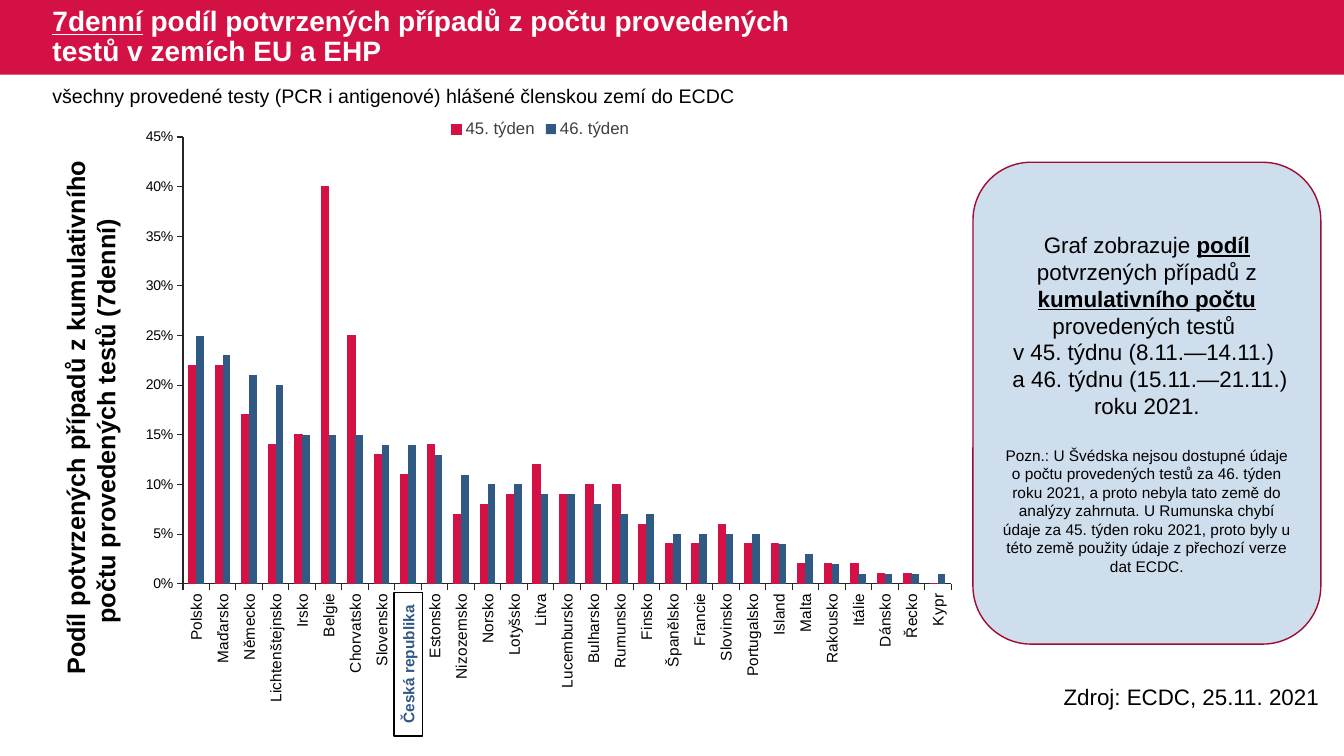
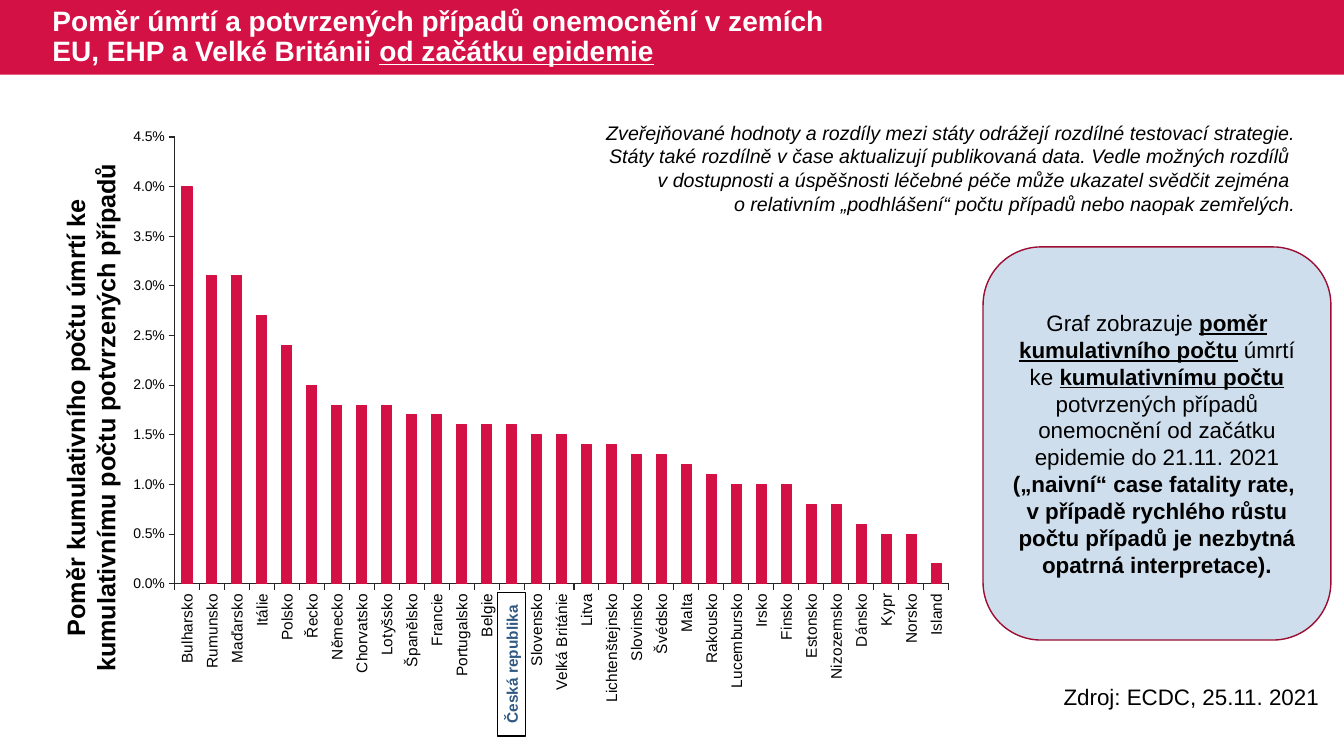
import pptx
import pptx.chart.data
import pptx.dml.color
import pptx.enum.chart
import pptx.enum.shapes
import pptx.enum.text
import pptx.oxml
import pptx.oxml.ns
import pptx.util

Inches = pptx.util.Inches
Pt = pptx.util.Pt
RGBColor = pptx.dml.color.RGBColor
Align = pptx.enum.text.PP_ALIGN
Anchor = pptx.enum.text.MSO_ANCHOR
AutoSize = pptx.enum.text.MSO_AUTO_SIZE
Shape = pptx.enum.shapes.MSO_SHAPE

CRIMSON = RGBColor(0xD3, 0x11, 0x45)
DARK_CRIMSON = RGBColor(0x9C, 0x0D, 0x33)
BLUE = RGBColor(0x30, 0x59, 0x83)
PALE_BLUE = RGBColor(0xCF, 0xDE, 0xED)
BLACK = RGBColor(0, 0, 0)
WHITE = RGBColor(0xFF, 0xFF, 0xFF)
AXIS_GREY = RGBColor(0x26, 0x26, 0x26)
LEGEND_GREY = RGBColor(0x40, 0x40, 0x40)

FONT = "Arial"
SLIDE_WIDTH, SLIDE_HEIGHT = 13.33, 7.5
BAND_HEIGHT = 0.74
CHART_LEFT, CHART_TOP, CHART_WIDTH, CHART_HEIGHT = 1.16, 1.08, 8.4, 5.95
HIGHLIGHT = "Česká republika"
SOURCE = "Zdroj: ECDC, 25.11. 2021"


class Deck:
    def __init__(self):
        self.presentation = pptx.Presentation()
        self.presentation.slide_width = Inches(SLIDE_WIDTH)
        self.presentation.slide_height = Inches(SLIDE_HEIGHT)
        self.layout = self.presentation.slide_layouts[5]
        self.slide = None

    def style_font(self, font, size, color, style=""):
        font.name = FONT
        font.size = Pt(size)
        font.color.rgb = color
        font.bold = "b" in style
        font.italic = "i" in style
        font.underline = "u" in style

    def add_runs(self, paragraph, runs, size, color=BLACK, align=Align.LEFT):
        paragraph.alignment = align
        for text, style in runs:
            for number, line in enumerate(text.split("\n")):
                if number:
                    paragraph.add_line_break()
                if line:
                    run = paragraph.add_run()
                    run.text = line
                    self.style_font(run.font, size, color, style)

    def box(self, kind, left, top, width, height, fill, line=None):
        shape = self.slide.shapes.add_shape(
            kind, Inches(left), Inches(top), Inches(width), Inches(height))
        shape.shadow.inherit = False
        shape.fill.solid()
        shape.fill.fore_color.rgb = fill
        if line is None:
            shape.line.fill.background()
        else:
            shape.line.color.rgb = line
            shape.line.width = Pt(1)
        shape.text_frame.word_wrap = True
        shape.text_frame.vertical_anchor = Anchor.MIDDLE
        return shape

    def add_slide(self, title_runs):
        first = self.slide is None
        self.slide = self.presentation.slides.add_slide(self.layout)
        if first:
            band = self.box(Shape.RECTANGLE, 0, 0, SLIDE_WIDTH, BAND_HEIGHT, CRIMSON)
            self.layout.element.cSld.spTree.insert(2, band.element)
        title = self.slide.shapes.title
        title.left, title.top = Inches(0.42), Inches(0)
        title.width, title.height = Inches(8.16), Inches(BAND_HEIGHT)
        frame = title.text_frame
        frame.auto_size = AutoSize.NONE
        frame.word_wrap = True
        frame.vertical_anchor = Anchor.MIDDLE
        frame.paragraphs[0].line_spacing = 0.9
        self.add_runs(frame.paragraphs[0], title_runs, 20, WHITE)

    def text(self, left, top, width, height, paragraphs, size,
             style="", align=Align.LEFT, rotation=0):
        box = self.slide.shapes.add_textbox(
            Inches(left), Inches(top), Inches(width), Inches(height))
        box.rotation = rotation
        frame = box.text_frame
        frame.word_wrap = True
        frame.auto_size = AutoSize.SHAPE_TO_FIT_TEXT
        for number, content in enumerate(paragraphs):
            paragraph = frame.add_paragraph() if number else frame.paragraphs[0]
            self.add_runs(paragraph, [(content, style)], size, align=align)

    def source(self):
        self.text(10.45, 6.73, 2.85, 0.37, [SOURCE], 16)

    def axis_caption(self, caption):
        self.text(-1.81, 3.79, 5.42, 0.71, [caption], 18, "b", Align.CENTER, 270)

    def callout(self, left, top, height, paragraphs, note=None):
        panel = self.box(Shape.ROUNDED_RECTANGLE, left, top, 3.45, height,
                         PALE_BLUE, DARK_CRIMSON)
        frame = panel.text_frame
        for number, runs in enumerate(paragraphs):
            paragraph = frame.add_paragraph() if number else frame.paragraphs[0]
            self.add_runs(paragraph, runs, 16, align=Align.CENTER)
        if note:
            paragraph = frame.add_paragraph()
            paragraph.space_before = Pt(19)
            self.add_runs(paragraph, [(note, "")], 11, align=Align.CENTER)

    def format_axis(self, axis, size):
        axis.has_major_gridlines = False
        axis.major_tick_mark = pptx.enum.chart.XL_TICK_MARK.OUTSIDE
        axis.minor_tick_mark = pptx.enum.chart.XL_TICK_MARK.NONE
        axis.format.line.color.rgb = AXIS_GREY
        axis.format.line.width = Pt(0.75)
        self.style_font(axis.tick_labels.font, size, BLACK)

    def column_chart(self, countries, series, number_format, maximum, step,
                     plot_x, plot_width, legend=False):
        data = pptx.chart.data.CategoryChartData(number_format=number_format)
        data.categories = countries
        for name, values in series:
            data.add_series(name, values)
        chart = self.slide.shapes.add_chart(
            pptx.enum.chart.XL_CHART_TYPE.COLUMN_CLUSTERED,
            Inches(CHART_LEFT), Inches(CHART_TOP),
            Inches(CHART_WIDTH), Inches(CHART_HEIGHT), data).chart
        chart.has_title = False
        self.style_font(chart.font, 10, LEGEND_GREY)
        chart.has_legend = legend
        if legend:
            chart.legend.position = pptx.enum.chart.XL_LEGEND_POSITION.TOP
            chart.legend.include_in_layout = False
            self.style_font(chart.legend.font, 12, LEGEND_GREY)

        plot = chart.plots[0]
        plot.gap_width = 150
        plot.overlap = 0
        plot.vary_by_categories = False
        for columns, color in zip(plot.series, (CRIMSON, BLUE)):
            columns.format.fill.solid()
            columns.format.fill.fore_color.rgb = color
        plot.series[0].format.line.color.rgb = CRIMSON
        plot.series[0].format.line.width = Pt(0.75)

        self.format_axis(chart.category_axis, 11)
        qn = pptx.oxml.ns.qn
        category_axis = chart.element.chart.plotArea.find(qn("c:catAx"))
        label_body = category_axis.find(qn("c:txPr")).find(qn("a:bodyPr"))
        label_body.set("rot", "-5400000")
        label_body.set("vert", "horz")
        value_axis = chart.value_axis
        self.format_axis(value_axis, 10)
        value_axis.minimum_scale = 0
        value_axis.maximum_scale = maximum
        value_axis.major_unit = step
        value_axis.tick_labels.number_format = number_format
        value_axis.tick_labels.number_format_is_linked = False
        self.fix_plot_area(chart, plot_x, plot_width)

        pitch = plot_width * CHART_WIDTH / len(countries)
        center = (CHART_LEFT + plot_x * CHART_WIDTH
                  + pitch * (countries.index(HIGHLIGHT) + 0.5))
        self.country_label(center)

    def fix_plot_area(self, chart, x, width):
        area = chart.element.chart.plotArea
        for layout in area.findall(pptx.oxml.ns.qn("c:layout")):
            area.remove(layout)
        places = "".join(f'<c:{tag} val="{value}"/>' for tag, value in (
            ("layoutTarget", "inner"), ("xMode", "edge"), ("yMode", "edge"),
            ("x", x), ("y", 0.047), ("w", width), ("h", 0.745)))
        area.insert(0, pptx.oxml.parse_xml(
            f'<c:layout {pptx.oxml.ns.nsdecls("c")}>'
            f"<c:manualLayout>{places}</c:manualLayout></c:layout>"))

    def country_label(self, center):
        width = 1.42
        label = self.box(Shape.RECTANGLE, center - width / 2, 6.45, width, 0.28,
                         WHITE, BLACK)
        label.rotation = 270
        self.add_runs(label.text_frame.paragraphs[0], [(HIGHLIGHT, "b")], 11, BLUE,
                      Align.CENTER)


def positivity_slide(deck):
    deck.add_slide([
        ("7denní", "bu"),
        (" podíl potvrzených případů z počtu provedených testů v zemích EU a EHP", "b")])
    deck.source()
    deck.axis_caption(
        "Podíl potvrzených případů z kumulativního počtu provedených testů (7denní) ")
    countries = [
        "Polsko", "Maďarsko", "Německo", "Lichtenštejnsko", "Irsko", "Belgie",
        "Chorvatsko", "Slovensko", HIGHLIGHT, "Estonsko", "Nizozemsko", "Norsko",
        "Lotyšsko", "Litva", "Lucembursko", "Bulharsko", "Rumunsko", "Finsko",
        "Španělsko", "Francie", "Slovinsko", "Portugalsko", "Island", "Malta",
        "Rakousko", "Itálie", "Dánsko", "Řecko", "Kypr"]
    week_45 = [
        0.22, 0.22, 0.17, 0.14, 0.15, 0.4, 0.25, 0.13, 0.11, 0.14, 0.07, 0.08,
        0.09, 0.12, 0.09, 0.1, 0.1, 0.06, 0.04, 0.04, 0.06, 0.04, 0.04, 0.02,
        0.02, 0.02, 0.01, 0.01, 0]
    week_46 = [
        0.25, 0.23, 0.21, 0.2, 0.15, 0.15, 0.15, 0.14, 0.14, 0.13, 0.11, 0.1,
        0.1, 0.09, 0.09, 0.08, 0.07, 0.07, 0.05, 0.05, 0.05, 0.05, 0.04, 0.03,
        0.02, 0.01, 0.01, 0.01, 0.01]
    deck.column_chart(countries, [("45. týden", week_45), ("46. týden", week_46)],
                      "0%", 0.45, 0.05, 0.078, 0.907, legend=True)
    deck.callout(9.65, 1.61, 4.78, [
        [("Graf zobrazuje ", ""), ("podíl", "bu"), (" potvrzených případů z ", ""),
         ("kumulativního počtu", "bu"), (" provedených testů ", "")],
        [("v 45. týdnu (8.11.—14.11.) ", "")],
        [(" a 46. týdnu (15.11.—21.11.) roku 2021.", "")],
    ], note="Pozn.: U Švédska nejsou dostupné údaje o počtu provedených testů za "
            "46. týden roku 2021, a proto nebyla tato země do analýzy zahrnuta. "
            "U Rumunska chybí údaje za 45. týden roku 2021, proto byly u této země "
            "použity údaje z přechozí verze dat ECDC.")
    deck.text(0.42, 0.78, 12.59, 0.34, [
        "všechny provedené testy (PCR i antigenové) hlášené členskou zemí do ECDC"], 14)


def fatality_slide(deck):
    deck.add_slide([
        ("Poměr úmrtí a potvrzených případů onemocnění v zemích EU, EHP a Velké "
         "Británii ", "b"),
        ("od začátku epidemie", "bu")])
    deck.source()
    deck.axis_caption(
        "Poměr kumulativního počtu úmrtí ke kumulativnímu počtu potvrzených případů")
    countries = [
        "Bulharsko", "Rumunsko", "Maďarsko", "Itálie", "Polsko", "Řecko", "Německo",
        "Chorvatsko", "Lotyšsko", "Španělsko", "Francie", "Portugalsko", "Belgie",
        HIGHLIGHT, "Slovensko", "Velká Británie", "Litva", "Lichtenštejnsko",
        "Slovinsko", "Švédsko", "Malta", "Rakousko", "Lucembursko", "Irsko",
        "Finsko", "Estonsko", "Nizozemsko", "Dánsko", "Kypr", "Norsko", "Island"]
    ratios = [
        0.04, 0.031, 0.031, 0.027, 0.024, 0.02, 0.018, 0.018, 0.018, 0.017, 0.017,
        0.016, 0.016, 0.016, 0.015, 0.015, 0.014, 0.014, 0.013, 0.013, 0.012,
        0.011, 0.01, 0.01, 0.01, 0.008, 0.008, 0.006, 0.005, 0.005, 0.002]
    deck.column_chart(countries, [("Poměr úmrtí", ratios)],
                      "0.0%", 0.045, 0.005, 0.068, 0.914)
    deck.callout(9.75, 2.45, 3.9, [[
        ("Graf zobrazuje ", ""), ("poměr kumulativního počtu", "bu"),
        (" úmrtí ke ", ""), ("kumulativnímu počtu", "bu"),
        (" potvrzených případů onemocnění od začátku epidemie do 21.11. 2021\n", ""),
        ("(„naivní“ case fatality rate, \nv případě rychlého růstu počtu případů "
         "je nezbytná opatrná interpretace).", "b")]])
    deck.text(5.82, 1.15, 7.13, 1.04, [
        "Zveřejňované hodnoty a rozdíly mezi státy odrážejí rozdílné testovací "
        "strategie. Státy také rozdílně v čase aktualizují publikovaná data. Vedle "
        "možných rozdílů \nv dostupnosti a úspěšnosti léčebné péče může ukazatel "
        "svědčit zejména ",
        "o relativním „podhlášení“ počtu případů nebo naopak zemřelých.",
    ], 14, "i", Align.RIGHT)


def main():
    deck = Deck()
    positivity_slide(deck)
    fatality_slide(deck)
    deck.presentation.save("out.pptx")


if __name__ == "__main__":
    main()
